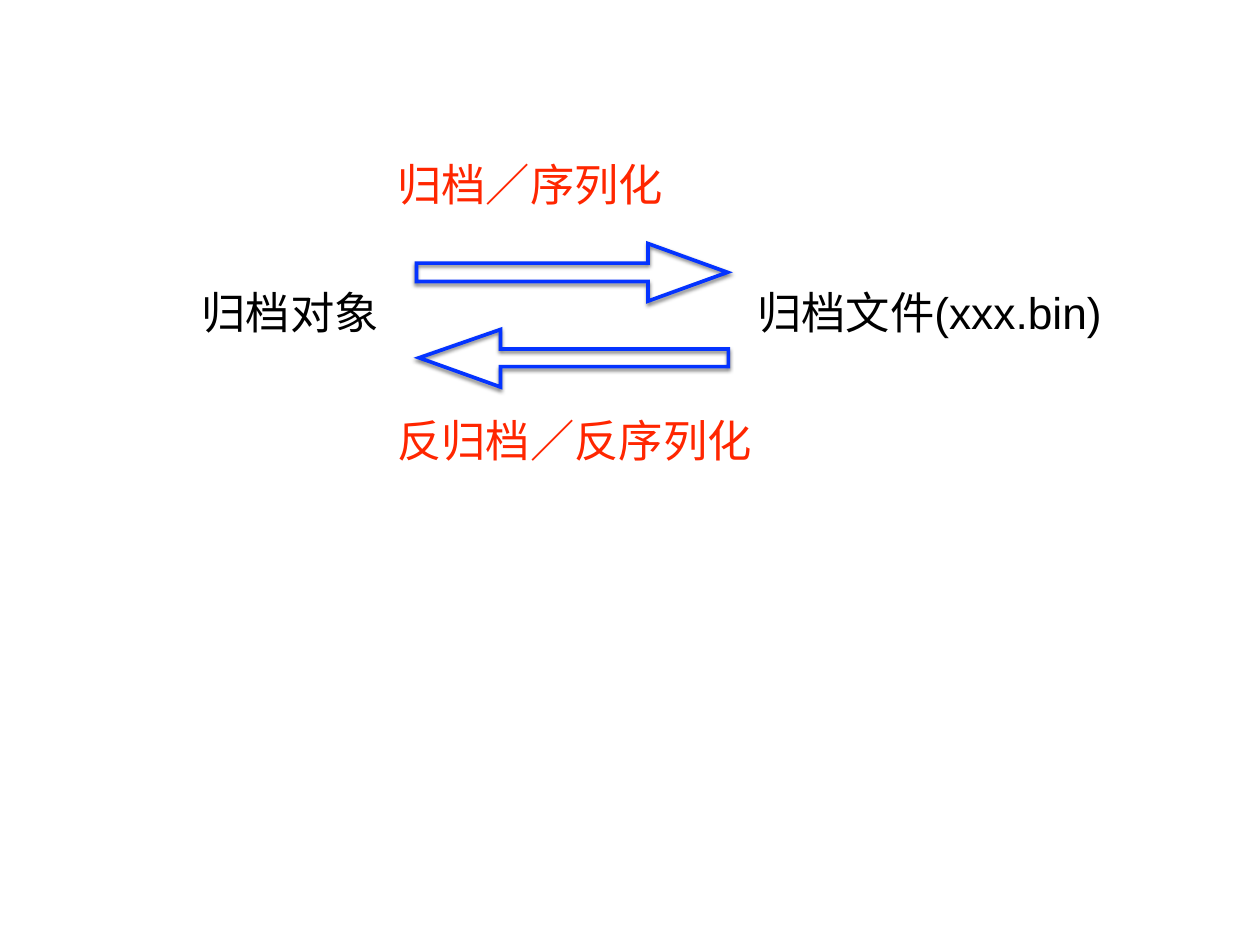
from dataclasses import dataclass

from lxml.etree import SubElement
from pptx import Presentation
from pptx.dml.color import RGBColor
from pptx.enum.shapes import MSO_SHAPE
from pptx.enum.text import MSO_ANCHOR, MSO_AUTO_SIZE, PP_ALIGN
from pptx.oxml.ns import qn
from pptx.shapes.autoshape import Shape
from pptx.shapes.shapetree import SlideShapes
from pptx.util import Pt

PX = 9144  # EMU, 100 px to the inch
INSET = 6 * PX
COLORS = {"black": "000000", "red": "FF2600", "blue": "0433FF"}


@dataclass
class Label:
    text: str
    left: int
    top: int
    width: int
    height: int
    color: str
    wrap: bool = False


LABELS = [
    Label("归档对象", 221, 321, 213, 61, "black"),
    Label("归档文件(xxx.bin)", 834, 316, 430, 71, "black", True),
    Label("归档／序列化", 442, 177, 313, 61, "red"),
    Label("反归档／反序列化", 442, 466, 413, 61, "red"),
]
BACK = [(565, 394), (565, 372), (473, 404), (565, 437),
        (565, 414), (822, 414), (822, 394)]


def rgb(name: str) -> RGBColor:
    return RGBColor.from_string(COLORS[name])


def add_label(shapes: SlideShapes, label: Label) -> None:
    box = shapes.add_textbox(label.left * PX, label.top * PX,
                             label.width * PX, label.height * PX)
    frame = box.text_frame
    frame.word_wrap = label.wrap
    frame.auto_size = MSO_AUTO_SIZE.SHAPE_TO_FIT_TEXT
    frame.vertical_anchor = MSO_ANCHOR.MIDDLE
    frame.margin_left = frame.margin_right = INSET
    frame.margin_top = frame.margin_bottom = INSET
    para = frame.paragraphs[0]
    para.text = label.text
    para.alignment = PP_ALIGN.CENTER
    para.font.name = "Arial"
    para.font.size = Pt(36)
    para.font.color.rgb = rgb(label.color)


def style_arrow(arrow: Shape) -> None:
    """Give an arrow its hollow blue outline, sharp corners and soft shadow."""
    arrow.fill.background()
    arrow.line.color.rgb = rgb("blue")
    arrow.line.width = Pt(3)
    props = arrow.element.spPr
    SubElement(props.find(qn("a:ln")), qn("a:miter"), lim="400000")
    arrow.shadow.inherit = False
    shadow = SubElement(props.find(qn("a:effectLst")), qn("a:outerShdw"),
                        blurRad=str(Pt(3)), dist=str(Pt(2)),
                        dir="5400000", rotWithShape="0")
    color = SubElement(shadow, qn("a:srgbClr"), val=COLORS["black"])
    SubElement(color, qn("a:alpha"), val="50000")


def add_arrows(shapes: SlideShapes) -> None:
    ahead = shapes.add_shape(MSO_SHAPE.RIGHT_ARROW,
                             470 * PX, 275 * PX, 351 * PX, 65 * PX)
    ahead.adjustments[0] = 0.32
    ahead.adjustments[1] = 1.38
    pen = shapes.build_freeform(*BACK[0], scale=PX)
    pen.add_line_segments(BACK[1:], close=True)
    for arrow in (ahead, pen.convert_to_shape()):
        style_arrow(arrow)


def main() -> None:
    deck = Presentation()
    deck.slide_width = 1422 * PX
    deck.slide_height = 1067 * PX
    slide = deck.slides.add_slide(deck.slide_layouts[6])
    for label in LABELS:
        add_label(slide.shapes, label)
    add_arrows(slide.shapes)
    deck.save("out.pptx")


if __name__ == "__main__":
    main()
